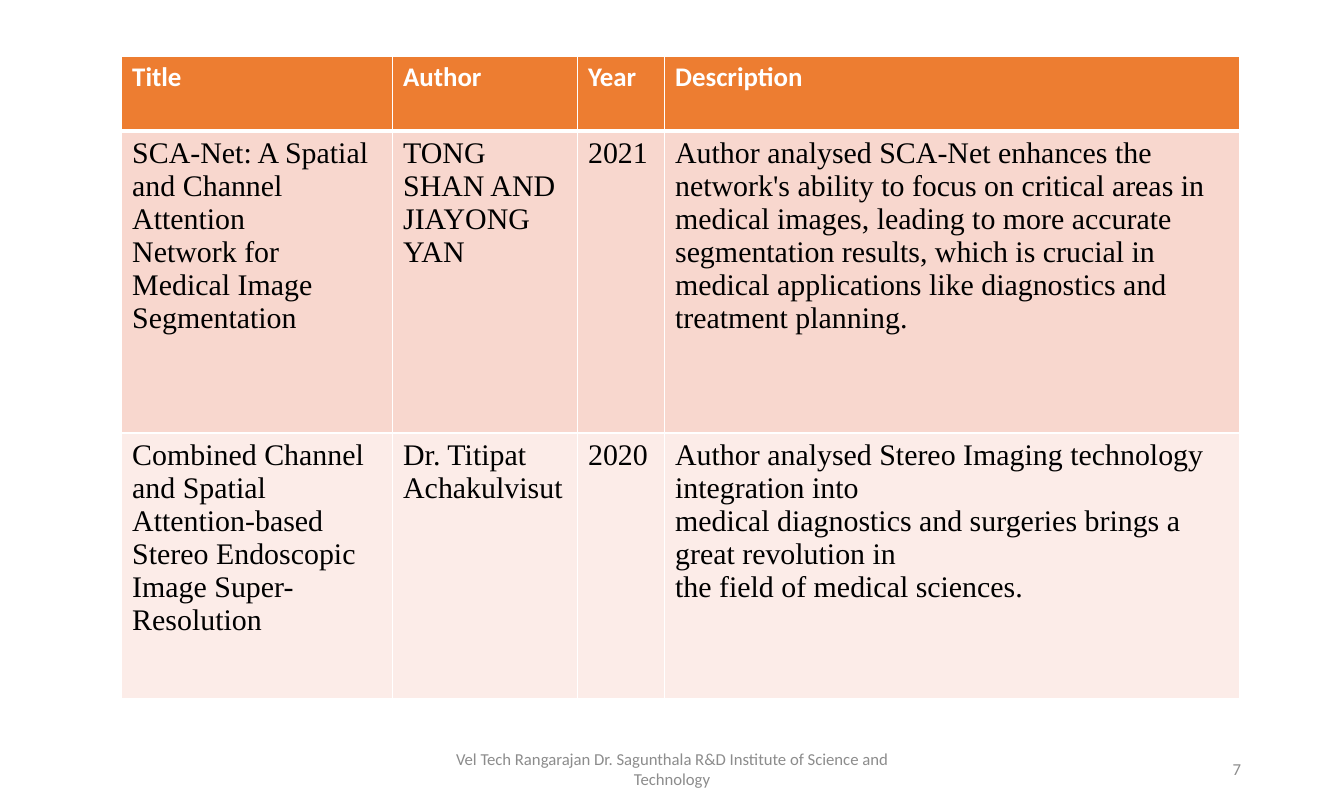
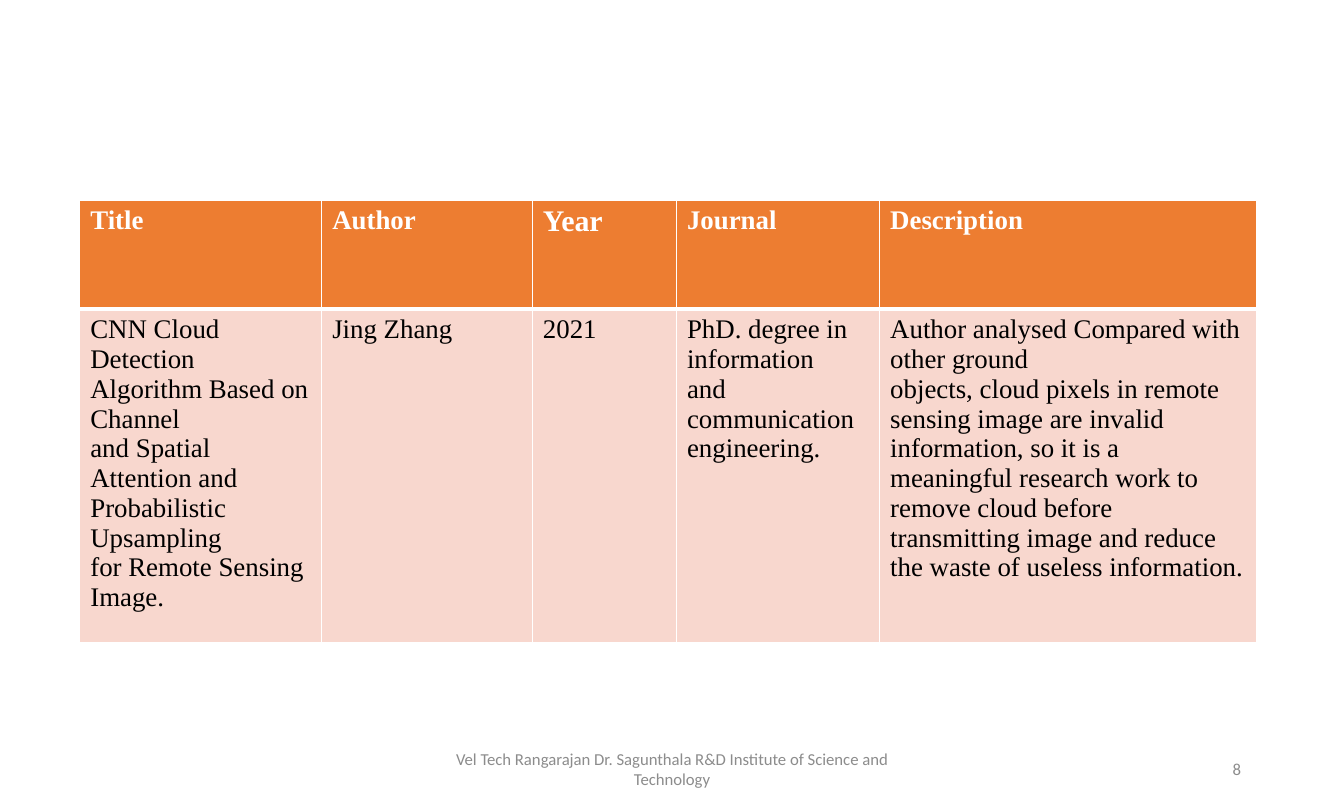
"""Build two literature survey slides with matching tables and footers."""
from dataclasses import dataclass

from lxml import etree
from pptx import Presentation
from pptx.dml.color import RGBColor
from pptx.enum import text
from pptx.oxml.ns import qn
from pptx.util import Inches, Pt

SERIF, SANS = "Times New Roman", "Calibri"
WHITE, BLACK, GREY, ORANGE = "FFFFFF", "000000", "8C8C8C", "ED7D31"
BODY_FILLS = ("F8D7CE", "FCECE8")
THIN, THICK = 1, 3
FOOTER = "Vel Tech Rangarajan Dr. Sagunthala R&D Institute of Science and Technology"


@dataclass(frozen=True)
class Style:
    """Font of a piece of text."""
    font: str
    size: float
    color: str
    bold: bool = False


@dataclass(frozen=True)
class Survey:
    """Contents and measurements of one slide's table."""
    number: int
    left: float
    top: float
    widths: tuple[float, ...]
    heights: tuple[float, ...]
    header_font: str
    header_sizes: tuple[int, ...]
    body_size: int
    rows: tuple[tuple[str, ...], ...]


SURVEYS = (
    Survey(7, 1.13, 0.52, (2.52, 1.72, 0.81, 5.35), (0.7, 2.81, 2.47),
           SANS, (18, 18, 18, 18), 20, (
        ("Title", "Author", "Year", "Description"),
        ("SCA-Net: A Spatial and Channel Attention\n"
         "Network for Medical Image Segmentation",
         "TONG SHAN AND JIAYONG YAN",
         "2021",
         "Author analysed SCA-Net enhances the network's ability to focus on "
         "critical areas in medical images, leading to more accurate "
         "segmentation results, which is crucial in medical applications like "
         "diagnostics and treatment planning."),
        ("Combined Channel and Spatial Attention-based\n"
         "Stereo Endoscopic Image Super-Resolution",
         "Dr. Titipat Achakulvisut",
         "2020",
         "Author analysed Stereo Imaging technology integration into\n"
         "medical diagnostics and surgeries brings a great revolution in\n"
         "the field of medical sciences."),
    )),
    Survey(8, 0.74, 1.86, (2.25, 1.96, 1.34, 1.89, 3.51), (1.02, 2.86),
           SERIF, (18, 18, 20, 18, 18), 18, (
        ("Title", "Author", "Year", "Journal", "Description"),
        ("CNN Cloud Detection Algorithm Based on Channel\n"
         "and Spatial Attention and Probabilistic Upsampling\n"
         "for Remote Sensing Image.",
         "Jing Zhang",
         "2021",
         "PhD. degree in information\nand communication engineering.",
         "Author analysed Compared with other ground\n"
         "objects, cloud pixels in remote sensing image are invalid "
         "information, so it is a meaningful research work to remove cloud "
         "before\n"
         "transmitting image and reduce the waste of useless information."),
    )),
)


def rgb(color: str) -> RGBColor:
    """Turn a hex string into a colour."""
    return RGBColor.from_string(color)


def write(frame, content: str, style: Style, align=text.PP_ALIGN.LEFT) -> None:
    """Fill a text frame and format every run."""
    frame.text = content
    frame.word_wrap = True
    for para in frame.paragraphs:
        para.alignment = align
        for span in para.runs:
            span.font.name = style.font
            span.font.size = Pt(style.size)
            span.font.bold = style.bold
            span.font.color.rgb = rgb(style.color)


def set_borders(cell, top: float, bottom: float) -> None:
    """Give a cell white borders of the stated top and bottom widths."""
    properties = cell._tc.get_or_add_tcPr()
    for side, width in (("L", THIN), ("R", THIN), ("T", top), ("B", bottom)):
        line = etree.SubElement(properties, qn(f"a:ln{side}"), w=str(Pt(width)))
        fill = etree.SubElement(line, qn("a:solidFill"))
        etree.SubElement(fill, qn("a:srgbClr"), val=WHITE)


def draw_table(page, survey: Survey) -> None:
    """Draw the survey table with its header and tinted rows."""
    table = page.shapes.add_table(
        len(survey.heights), len(survey.widths),
        Inches(survey.left), Inches(survey.top),
        Inches(sum(survey.widths)), Inches(sum(survey.heights))).table
    table.horz_banding = False
    for column, width in zip(table.columns, survey.widths):
        column.width = Inches(width)
    for index, (row, height) in enumerate(zip(table.rows, survey.heights)):
        row.height = Inches(height)
        header = index == 0
        for cell, content, size in zip(row.cells, survey.rows[index],
                                       survey.header_sizes):
            style = (Style(survey.header_font, size, WHITE, True) if header
                     else Style(SERIF, survey.body_size, BLACK))
            write(cell.text_frame, content, style)
            set_borders(cell, THICK if index == 1 else THIN,
                        THICK if header else THIN)
            cell.fill.solid()
            cell.fill.fore_color.rgb = rgb(
                ORANGE if header else BODY_FILLS[index - 1])


def draw_footer(page, number: int) -> None:
    """Draw the institute name and the page number."""
    for left, width, content, align in (
            (4.14, 4.22, FOOTER, text.PP_ALIGN.CENTER),
            (8.83, 2.81, str(number), text.PP_ALIGN.RIGHT)):
        box = page.shapes.add_textbox(
            Inches(left), Inches(6.95), Inches(width), Inches(0.4))
        box.text_frame.vertical_anchor = text.MSO_ANCHOR.MIDDLE
        write(box.text_frame, content, Style(SANS, 11.2, GREY), align)


def main() -> None:
    """Build and save the deck."""
    deck = Presentation()
    deck.slide_width, deck.slide_height = Inches(12.5), Inches(7.5)
    for survey in SURVEYS:
        page = deck.slides.add_slide(deck.slide_layouts[6])
        draw_table(page, survey)
        draw_footer(page, survey.number)
    deck.save("out.pptx")


if __name__ == "__main__":
    main()
